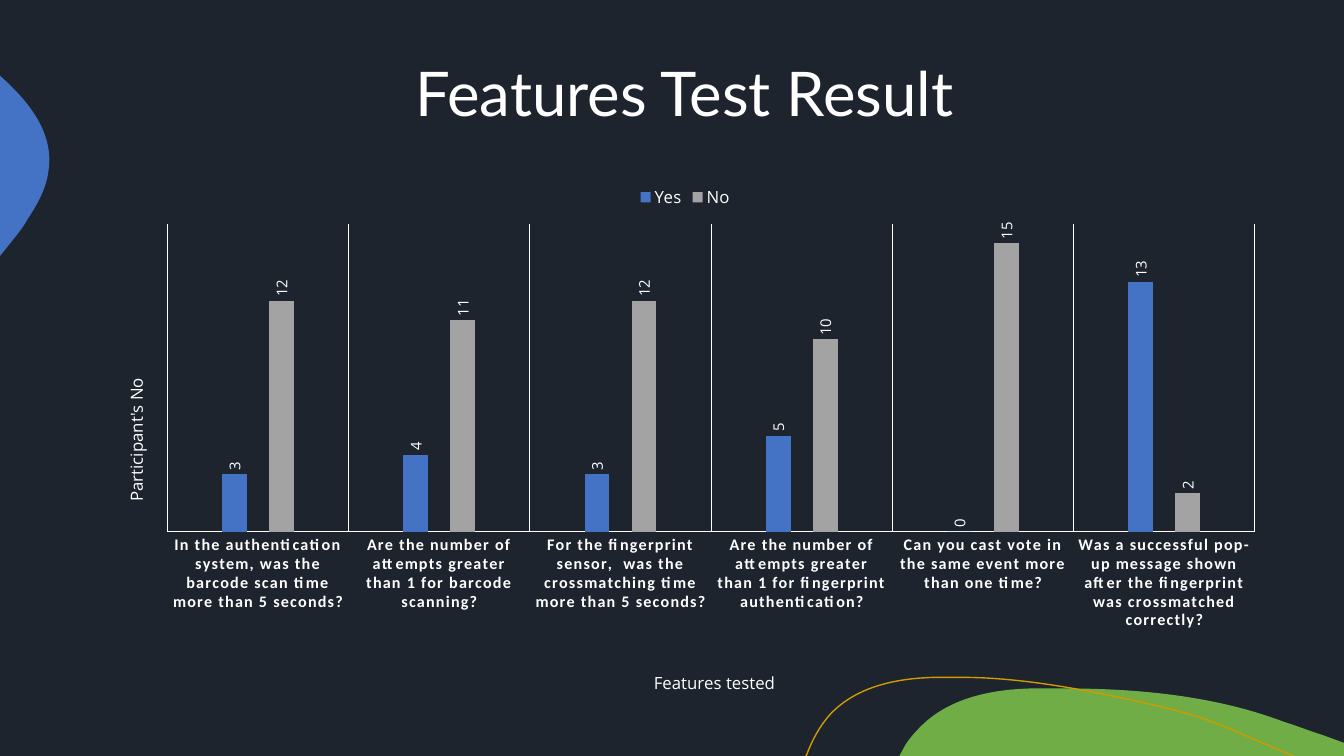
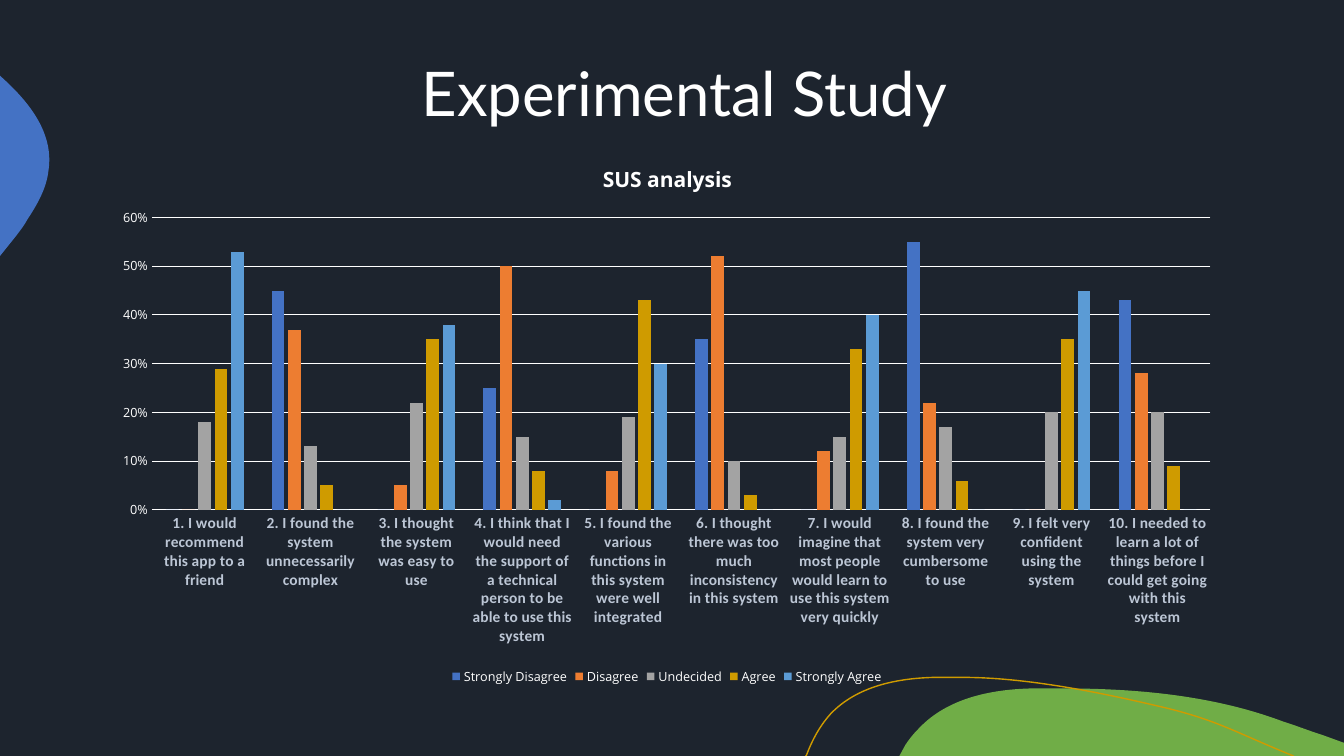
"""Build two dark slides with survey results as clustered column charts."""
from lxml.etree import SubElement
from pptx import Presentation
from pptx.chart.data import CategoryChartData
from pptx.dml.color import RGBColor
from pptx.enum.chart import XL_CHART_TYPE as ChartType, XL_LABEL_POSITION as LabelSpot
from pptx.enum.chart import XL_LEGEND_POSITION as LegendSpot, XL_TICK_MARK as Tick
from pptx.enum.text import MSO_ANCHOR as Anchor, PP_ALIGN as Align
from pptx.oxml.ns import qn
from pptx.util import Inches, Pt

NIGHT = RGBColor(0x1D, 0x24, 0x2E)
WHITE = RGBColor(0xFF, 0xFF, 0xFF)
MIST = RGBColor(0xBC, 0xC6, 0xD5)
GREEN = RGBColor(0x70, 0xAD, 0x47)
BLUE = RGBColor(0x44, 0x72, 0xC4)
ORANGE = RGBColor(0xED, 0x7D, 0x31)
GREY = RGBColor(0xA3, 0xA3, 0xA3)
GOLD = RGBColor(0xCF, 0x9B, 0x00)
SKY = RGBColor(0x5B, 0x9B, 0xD5)
UNITS_PER_INCH = 100
QUARTER_TURN = "-5400000"


def style(font, size, color=WHITE, name="Open Sans", bold=False):
    values = {"size": Pt(size), "name": name, "bold": bold}
    for key, value in values.items():
        setattr(font, key, value)
    font.color.rgb = color


def place(parent, **fractions):
    layout = parent.find(qn("c:layout"))
    if layout is None:
        layout = parent.makeelement(qn("c:layout"))
        parent.insert(0, layout)
    manual = SubElement(layout, qn("c:manualLayout"))
    if "w" in fractions:
        SubElement(manual, qn("c:layoutTarget")).set("val", "inner")
    for side in ("x", "y"):
        SubElement(manual, qn(f"c:{side}Mode")).set("val", "edge")
    for key, value in fractions.items():
        SubElement(manual, qn(f"c:{key}")).set("val", str(value))


deck = Presentation()
deck.slide_width, deck.slide_height = Inches(13.33), Inches(7.5)
background = deck.slide_master.background.fill
background.solid()
background.fore_color.rgb = NIGHT
title_only = deck.slide_layouts[5]
title_box = title_only.placeholders[0]
title_box.left, title_box.top = Inches(2.29), Inches(0.58)
title_box.width, title_box.height = Inches(9), Inches(1.24)

charts_to_draw = [
    {
        "title": "Features Test Result",
        "box": (0.92, 1.73, 11.75, 5.31),
        "plot": {"x": 0.063, "y": 0.093, "w": 0.918, "h": 0.575},
        "gap": 444, "overlap": -90, "top": 16, "step": 2, "format": "General",
        "legend": LegendSpot.TOP, "legend_size": 12,
        "label_size": 11.5, "label_color": WHITE,
        "categories": [
            "In the authentication system, was the barcode scan time more than 5 seconds?",
            "Are the number of attempts greater than 1 for barcode scanning?",
            "For the fingerprint sensor,  was the crossmatching time more than 5 seconds?",
            "Are the number of attempts greater than 1 for fingerprint authentication?",
            "Can you cast vote in the same event more than one time?",
            "Was a successful pop-up message shown after the fingerprint was crossmatched correctly?",
        ],
        "series": [
            ("Yes", BLUE, (3, 4, 3, 5, 0, 13)),
            ("No", GREY, (12, 11, 12, 10, 15, 2)),
        ],
    },
    {
        "title": "Experimental Study",
        "box": (1, 1.39, 11.23, 5.45),
        "plot": {"x": 0.045, "y": 0.141, "w": 0.935, "h": 0.532},
        "gap": 219, "overlap": -27, "top": 0.6, "step": 0.1, "format": "0%",
        "legend": LegendSpot.BOTTOM, "legend_size": 9,
        "label_size": 11, "label_color": MIST,
        "categories": [
            "1. I would recommend this app to a friend",
            "2. I found the system unnecessarily complex",
            "3. I thought the system was easy to use",
            "4. I think that I would need the support of a technical person to be able to use this system",
            "5. I found the various functions in this system were well integrated",
            "6. I thought there was too much inconsistency in this system",
            "7. I would imagine that most people would learn to use this system very quickly",
            "8. I found the system very cumbersome to use",
            "9. I felt very confident using the system",
            "10. I needed to learn a lot of things before I could get going with this system",
        ],
        "series": [
            ("Strongly Disagree", BLUE, (0, 0.45, 0, 0.25, 0, 0.35, 0, 0.55, 0, 0.43)),
            ("Disagree", ORANGE, (0, 0.37, 0.05, 0.5, 0.08, 0.52, 0.12, 0.22, 0, 0.28)),
            ("Undecided", GREY, (0.18, 0.13, 0.22, 0.15, 0.19, 0.1, 0.15, 0.17, 0.2, 0.2)),
            ("Agree", GOLD, (0.29, 0.05, 0.35, 0.08, 0.43, 0.03, 0.33, 0.06, 0.35, 0.09)),
            ("Strongly Agree", SKY, (0.53, 0, 0.38, 0.02, 0.3, 0, 0.4, 0, 0.45, 0)),
        ],
    },
]

pages, charts = [], []
for item in charts_to_draw:
    page = deck.slides.add_slide(title_only)
    frame = page.shapes.title.text_frame
    frame.text = item["title"]
    frame.vertical_anchor = Anchor.TOP
    para = frame.paragraphs[0]
    para.alignment, para.line_spacing = Align.CENTER, 0.9
    style(para.runs[0].font, 44, name="Lato")

    data = CategoryChartData(number_format=item["format"])
    data.categories = item["categories"]
    for name, color, values in item["series"]:
        data.add_series(name, values)
    box = [Inches(length) for length in item["box"]]
    chart = page.shapes.add_chart(ChartType.COLUMN_CLUSTERED, *box, data).chart
    style(chart.font, 10)
    chart.has_title = False
    chart.has_legend = True
    chart.legend.position = item["legend"]
    chart.legend.include_in_layout = False
    style(chart.legend.font, item["legend_size"])
    place(chart.element.xpath(".//c:plotArea")[0], **item["plot"])

    plot = chart.plots[0]
    plot.gap_width, plot.overlap = item["gap"], item["overlap"]
    plot.vary_by_categories = False
    for series, (name, color, values) in zip(plot.series, item["series"]):
        series.format.fill.solid()
        series.format.fill.fore_color.rgb = color

    category_axis, value_axis = chart.category_axis, chart.value_axis
    for axis in (category_axis, value_axis):
        axis.major_tick_mark = axis.minor_tick_mark = Tick.NONE
    category_axis.format.line.color.rgb = WHITE
    category_axis.format.line.width = Pt(0.75)
    style(category_axis.tick_labels.font, item["label_size"], item["label_color"], "Calibri", True)
    chart.element.xpath(".//c:catAx/c:txPr/a:bodyPr")[0].set("rot", "0")
    value_axis.minimum_scale, value_axis.maximum_scale = 0, item["top"]
    value_axis.major_unit = item["step"]
    value_axis.format.line.fill.background()
    style(value_axis.tick_labels.font, 9)
    pages.append(page)
    charts.append(chart)

features, study = charts
features.value_axis.has_major_gridlines = False
features.value_axis.visible = False
for axis, text in ((features.category_axis, "Features tested"), (features.value_axis, "Participant's No")):
    axis.axis_title.text_frame.text = text
    style(axis.axis_title.text_frame.paragraphs[0].runs[0].font, 12)
people_title = features.value_axis.axis_title.element
people_title.xpath(".//a:bodyPr")[0].set("rot", QUARTER_TURN)
place(people_title, x=0.023, y=0.375)
place(features.category_axis.axis_title.element, x=0.471, y=0.92)
features.element.xpath(".//c:catAx/c:txPr//a:defRPr")[0].set("spc", "100")

features.plots[0].has_data_labels = True
labels = features.plots[0].data_labels
labels.show_value, labels.position = True, LabelSpot.OUTSIDE_END
style(labels.font, 10.6)
features.element.xpath(".//c:dLbls//a:bodyPr")[0].set("rot", QUARTER_TURN)

study.has_title = True
study.chart_title.text_frame.text = "SUS analysis"
study.chart_title.include_in_layout = False
style(study.chart_title.text_frame.paragraphs[0].runs[0].font, 15, bold=True)
place(study.chart_title.element, x=0.44, y=0.035)

for axis in (features.category_axis, study.value_axis):
    axis.has_major_gridlines = True
    axis.major_gridlines.format.line.color.rgb = WHITE
    axis.major_gridlines.format.line.width = Pt(0.75)

green_hill = [
    (10.54, 6.83), (11.28, 6.83, 12.04, 6.9, 12.73, 7.16), (12.86, 7.2, 12.98, 7.25, 13.11, 7.29),
    (13.33, 7.37), (13.33, 7.5), (8.92, 7.5), (8.98, 7.39), (9.02, 7.33, 9.06, 7.28, 9.11, 7.23),
    (9.39, 6.93, 9.82, 6.84, 10.23, 6.83), (10.33, 6.83, 10.43, 6.83, 10.54, 6.83),
]
blue_edge = [
    (0, 0.75), (0.01, 0.76), (0.3, 1.02, 0.54, 1.33, 0.48, 1.7), (0.46, 1.87, 0.37, 2.03, 0.27, 2.18),
    (0.24, 2.24, 0.17, 2.33, 0.08, 2.44), (0, 2.54),
]
gold_arc = [
    (7.99, 7.5), (8, 7.49), (8.06, 7.33, 8.14, 7.19, 8.24, 7.08), (8.5, 6.81, 8.89, 6.73, 9.26, 6.72),
    (9.55, 6.72), (10.22, 6.72, 11, 6.89, 11.55, 7.02), (12.09, 7.15, 12.26, 7.27, 12.83, 7.5),
]
decorations = [(green_hill, GREEN, True), (blue_edge, BLUE, True), (gold_arc, GOLD, False)]
for number, (outline, color, filled) in enumerate(decorations, start=20):
    numbers = [value * UNITS_PER_INCH for segment in outline for value in segment]
    points = list(zip(numbers[::2], numbers[1::2]))
    builder = pages[0].shapes.build_freeform(*points[0], scale=Inches(1) / UNITS_PER_INCH)
    builder.add_line_segments(points[1:], close=filled)
    shape = builder.convert_to_shape()
    lines = iter(shape.element.xpath(".//a:lnTo"))
    for segment in outline[1:]:
        line = next(lines)
        if len(segment) == 6:
            curve = line.makeelement(qn("a:cubicBezTo"))
            line.addprevious(curve)
            for control in (line, next(lines), next(lines)):
                curve.append(control[0])
                control.getparent().remove(control)
    shape.shadow.inherit = False
    if filled:
        shape.fill.solid()
        shape.fill.fore_color.rgb = color
        shape.line.fill.background()
    else:
        shape.fill.background()
        shape.line.color.rgb = color
        shape.line.width = Pt(1)
    shape.element.xpath(".//p:cNvPr")[0].set("id", str(number))
    title_only.shapes.element.append(shape.element)

deck.save("out.pptx")
